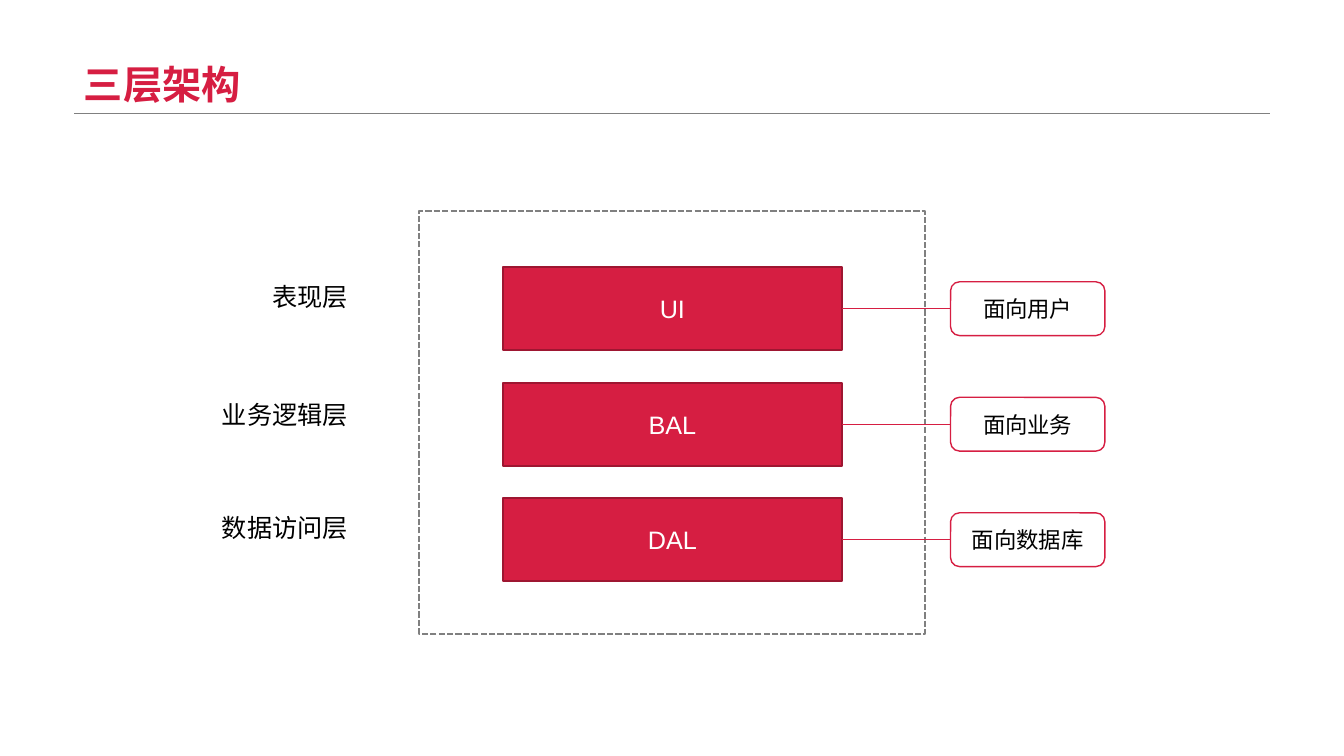
from dataclasses import dataclass

from lxml.etree import SubElement
from pptx import Presentation
from pptx.dml.color import RGBColor
from pptx.enum.dml import MSO_LINE
from pptx.enum.shapes import MSO_CONNECTOR, MSO_SHAPE
from pptx.enum.text import MSO_ANCHOR, PP_ALIGN
from pptx.oxml.ns import qn
from pptx.shapes.autoshape import Shape
from pptx.shapes.connector import Connector
from pptx.slide import Slide
from pptx.util import Pt

HUES = {"red": "D61E42", "dark": "9E1631", "gray": "808080",
        "white": "FFFFFF", "black": "000000"}
LATIN, HAN = "Arial", "Noto Sans CJK SC"
PITCH = 82.5
MID = 220.5  # centre of the first row


@dataclass
class Frame:
    left: float
    top: float
    width: float
    height: float

    def sizes(self) -> list[Pt]:
        return [Pt(v) for v in (self.left, self.top, self.width, self.height)]


@dataclass
class Style:
    fill: str
    line: str
    weight: float


@dataclass
class Layer:
    label: str
    top: float
    code: str
    role: str


LAYERS = [
    Layer("表现层", 197.3, "UI", "面向用户"),
    Layer("业务逻辑层", 281.5, "BAL", "面向业务"),
    Layer("数据访问层", 362.2, "DAL", "面向数据库"),
]

TITLE = {"size": Pt(28), "name": HAN, "bold": True}
LABEL = {"size": Pt(18), "name": HAN}
CODE = {"size": Pt(18), "name": LATIN}
ROLE = {"size": Pt(16), "name": LATIN}


def color(key: str) -> RGBColor:
    return RGBColor.from_string(HUES[key])


def write(shape: Shape, text: str, look: dict, hue: str,
          align: PP_ALIGN, anchor: MSO_ANCHOR) -> None:
    body = shape.text_frame
    body.word_wrap = True
    body.vertical_anchor = anchor
    para = body.paragraphs[0]
    para.alignment = align
    run = para.add_run()
    run.text = text
    for key, value in look.items():
        setattr(run.font, key, value)
    run.font.color.rgb = color(hue)
    SubElement(run.font._element, qn("a:ea"), typeface=HAN)


def add_box(slide: Slide, kind: MSO_SHAPE, frame: Frame, style: Style) -> Shape:
    box = slide.shapes.add_shape(kind, *frame.sizes())
    box.shadow.inherit = False
    box.fill.solid()
    box.fill.fore_color.rgb = color(style.fill)
    box.line.color.rgb = color(style.line)
    box.line.width = Pt(style.weight)
    return box


def add_text(slide: Slide, frame: Frame) -> Shape:
    return slide.shapes.add_textbox(*frame.sizes())


def add_rule(slide: Slide, left: float, right: float, top: float,
             hue: str, weight: float) -> Connector:
    """Draw a level line."""
    rule = slide.shapes.add_connector(
        MSO_CONNECTOR.STRAIGHT, Pt(left), Pt(top), Pt(right), Pt(top))
    rule.line.color.rgb = color(hue)
    rule.line.width = Pt(weight)
    SubElement(rule._element.spPr, qn("a:effectLst"))
    return rule


def add_layer(slide: Slide, layer: Layer, mid: float) -> None:
    """Draw the label, block, role and link of one row."""
    block = add_box(slide, MSO_SHAPE.RECTANGLE,
                    Frame(359.3, mid - 29.7, 242, 59.4),
                    Style("red", "dark", 1.5))
    write(block, layer.code, CODE, "white", PP_ALIGN.CENTER, MSO_ANCHOR.MIDDLE)

    label = add_text(slide, Frame(107.3, layer.top, 148.3, 29))
    write(label, layer.label, LABEL, "black", PP_ALIGN.RIGHT, MSO_ANCHOR.TOP)

    role = add_box(slide, MSO_SHAPE.ROUNDED_RECTANGLE,
                   Frame(679, mid - 19.2, 110.2, 38.4),
                   Style("white", "red", 1))
    write(role, layer.role, ROLE, "black", PP_ALIGN.CENTER, MSO_ANCHOR.MIDDLE)

    link = add_rule(slide, 601.3, 679, mid, "red", 0.5)
    link.begin_connect(block, 3)
    link.end_connect(role, 1)


def main() -> None:
    deck = Presentation()
    deck.slide_width, deck.slide_height = Pt(960), Pt(540)
    slide = deck.slides.add_slide(deck.slide_layouts[6])

    add_rule(slide, 52.9, 907.1, 81, "gray", 0.25)
    title = add_text(slide, Frame(52.9, 0, 854.2, 81))
    write(title, "三层架构", TITLE, "red", PP_ALIGN.LEFT, MSO_ANCHOR.BOTTOM)
    title.text_frame.paragraphs[0].line_spacing = 0.9

    frame = add_box(slide, MSO_SHAPE.RECTANGLE, Frame(299.5, 151, 361, 302),
                    Style("white", "gray", 1.5))
    frame.line.dash_style = MSO_LINE.SQUARE_DOT

    for row, layer in enumerate(LAYERS):
        add_layer(slide, layer, MID + row * PITCH)

    deck.save("out.pptx")


if __name__ == "__main__":
    main()
